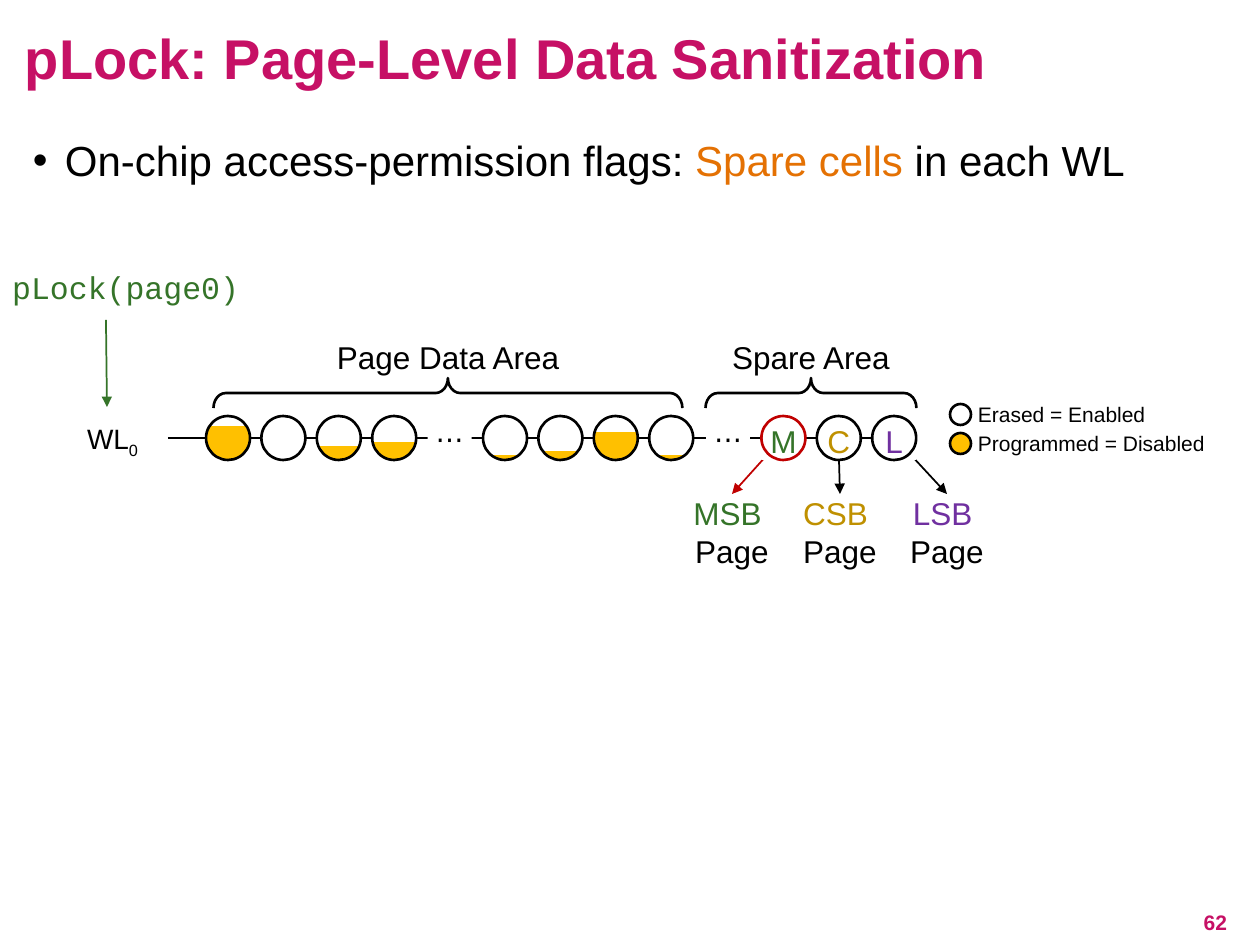
from lxml import etree
from pptx import Presentation
from pptx.dml.color import RGBColor
from pptx.enum.shapes import MSO_CONNECTOR, MSO_SHAPE
from pptx.enum.text import MSO_ANCHOR, PP_ALIGN
from pptx.oxml.ns import qn
from pptx.util import Pt

OVAL, RECT, BRACE = MSO_SHAPE.OVAL, MSO_SHAPE.RECTANGLE, MSO_SHAPE.RIGHT_BRACE
STRAIGHT = MSO_CONNECTOR.STRAIGHT
TOP, MIDDLE = MSO_ANCHOR.TOP, MSO_ANCHOR.MIDDLE
LEFT, CENTER, RIGHT = PP_ALIGN.LEFT, PP_ALIGN.CENTER, PP_ALIGN.RIGHT

BLACK = RGBColor(0x00, 0x00, 0x00)
WHITE = RGBColor(0xFF, 0xFF, 0xFF)
MAGENTA = RGBColor(0xC6, 0x10, 0x65)
ORANGE = RGBColor(0xE4, 0x71, 0x03)
AMBER = RGBColor(0xFF, 0xC0, 0x00)
RED = RGBColor(0xC0, 0x00, 0x00)
GREEN = RGBColor(0x35, 0x74, 0x29)
GOLD = RGBColor(0xBF, 0x90, 0x00)
PURPLE = RGBColor(0x70, 0x30, 0xA0)

PX = 914400 / 126


def px(*lengths):
    return [round(length * PX) for length in lengths]


def write(runs, box=None, holder=None, size=18, font="Arial", bold=False, align=CENTER,
          anchor=TOP, insets=(0, 0, 0, 0), spacing=None, bullet=None):
    holder = holder or slide.shapes.add_textbox(*px(*box))
    frame = holder.text_frame
    frame.word_wrap = True
    frame.vertical_anchor = anchor
    frame.margin_left, frame.margin_top, frame.margin_right, frame.margin_bottom = px(*insets)
    paragraph = frame.paragraphs[0]
    paragraph.alignment = align
    if spacing:
        paragraph.line_spacing = spacing
    if bullet:
        properties = paragraph._p.get_or_add_pPr()
        indent = px(32)[0]
        properties.set("marL", str(indent))
        properties.set("indent", str(-indent))
        etree.SubElement(properties, qn("a:buFont")).set("typeface", "Arial")
        etree.SubElement(properties, qn("a:buChar")).set("char", bullet)
    paragraph.font.size = Pt(size)
    for text, color in runs:
        run = paragraph.add_run()
        run.text = text.rstrip("\n")
        run.font.size, run.font.name, run.font.bold = Pt(size), font, bold
        run.font.color.rgb = color
        if text.endswith("\n"):
            paragraph.add_line_break()
    return holder


def draw(kind, box, fill=None, line=None):
    shape = slide.shapes.add_shape(kind, *px(*box))
    shape.shadow.inherit = False
    if fill is None:
        shape.fill.background()
    else:
        shape.fill.solid()
        shape.fill.fore_color.rgb = fill
    if line is None:
        shape.line.fill.background()
    else:
        shape.line.color.rgb = line
        shape.line.width = Pt(1.5)
    return shape


prs = Presentation()
prs.slide_width, prs.slide_height = px(1260, 945)
slide = prs.slides.add_slide(prs.slide_layouts[6])

write([("On-chip access-permission flags: ", BLACK), ("Spare cells ", ORANGE),
       ("in each WL", BLACK)],
      (20, 134, 1218, 742), size=24, align=LEFT, insets=(13, 6, 13, 6), spacing=0.9, bullet="•")
write([("pLock: Page-Level Data Sanitization", MAGENTA)], (0, 0, 1260, 112), size=32, bold=True,
      align=LEFT, anchor=MIDDLE, insets=(25, 10, 25, 0), spacing=0.9)
write([("62", MAGENTA)], (958, 897, 282, 50), size=12, bold=True, align=RIGHT,
      anchor=MIDDLE, insets=(13, 6, 13, 6))

wordline = write([("WL", BLACK), ("0", BLACK)], (87, 422, 79, 34), size=16, align=LEFT)
wordline.text_frame.paragraphs[0].runs[1].font._element.set("baseline", "-25000")

CELL, CELL_TOP, PITCH = 44, 416, 55.4
DATA_LEFT, SPARE_LEFT = 206, 706
links = [((168, 438), (693, 438), BLACK, 1.5, None), ((693, 438), (916, 438), BLACK, 1.5, None)]
arrows = [((106, 320), (107, 407), GREEN, 1, None)]

for area_left, area_center, area_width, title in (
        (DATA_LEFT, 448, 469, "Page Data Area"), (SPARE_LEFT, 811, 211, "Spare Area")):
    brace = draw(BRACE, (area_center - 15, 393 - area_width / 2, 30, area_width), line=BLACK)
    brace.rotation = 270
    brace.adjustments[0] = 0.41
    write([(title, BLACK)], (area_center - 170, 338, 340, 38))

for bit, color, page_left, start in (
        ("M", GREEN, 675, (768, 454)), ("C", GOLD, 783, (839, 460)), ("L", PURPLE, 890, (910, 454))):
    page = write([(bit + "SB \n", color), ("Page", BLACK)], (page_left, 494, 114, 77))
    arrows.append((start, (page_left + 57, 494), RED if bit == "M" else BLACK, 1, page))

for start, end, color, width, target in links + arrows:
    connector = slide.shapes.add_connector(STRAIGHT, *px(*start, *end))
    connector.line.color.rgb = color
    connector.line.width = Pt(width)
    if target:
        connector.end_connect(target, 0)
    if width == 1:
        etree.SubElement(connector.line._get_or_add_ln(), qn("a:tailEnd")).set("type", "triangle")
    etree.SubElement(connector._element.spPr, qn("a:effectLst"))

DATA_CELLS = [10, 44, 30, 26, "⋯", 39, 35, 16, 39]
SPARE_CELLS = ["⋯", ("M", GREEN, RED), ("C", GOLD, BLACK), ("L", PURPLE, BLACK)]
for area_left, cells in ((DATA_LEFT, DATA_CELLS), (SPARE_LEFT, SPARE_CELLS)):
    for index, cell in enumerate(cells):
        left = area_left + index * PITCH
        place = (left, CELL_TOP, CELL, CELL)
        if cell == "⋯":
            write([(cell, BLACK)], holder=draw(OVAL, place, fill=WHITE), size=16, anchor=MIDDLE)
            continue
        letter, color, ring = cell if isinstance(cell, tuple) else (None, None, BLACK)
        empty = CELL if letter else cell
        draw(OVAL, place, fill=AMBER)
        draw(RECT, (left, CELL_TOP, CELL, empty), fill=WHITE)
        outline = draw(OVAL, place, line=ring)
        if letter:
            write([(letter, color)], holder=outline)

for top, fill, meaning in ((404, WHITE, "Erased = Enabled"), (433, AMBER, "Programmed = Disabled")):
    draw(OVAL, (950, top, 21, 21), fill=fill, line=BLACK)
    write([(meaning, BLACK)], (973, top - 16, 287, 53), size=12, align=LEFT,
          anchor=MIDDLE, insets=(5, 0, 0, 0))

write([("pLock(page0) ", GREEN)], (0, 268, 270, 38), font="Courier New")

prs.save("out.pptx")
